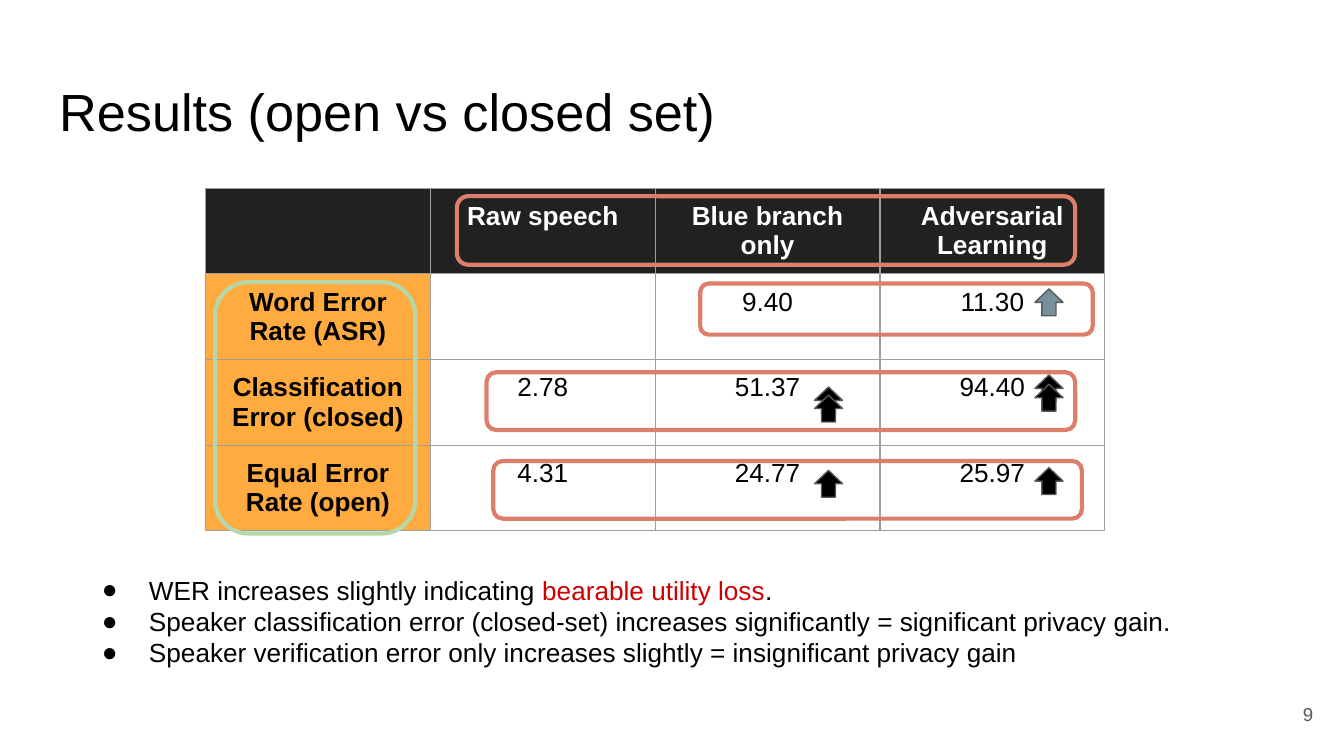
import pptx
import pptx.util
import pptx.dml.color
import pptx.enum.shapes
import pptx.enum.text
import pptx.oxml
import pptx.oxml.ns
from lxml import etree

Inches = pptx.util.Inches
Pt = pptx.util.Pt
SHAPE = pptx.enum.shapes.MSO_SHAPE
ALIGN = pptx.enum.text.PP_ALIGN
ANCHOR = pptx.enum.text.MSO_ANCHOR

BLACK, WHITE, GREY = "000000", "FFFFFF", "595959"
HEADER, ORANGE, BORDER = "212121", "FFAB40", "9E9E9E"
RED, CORAL, GREEN, SLATE = "CC0000", "DD7E6B", "B6D7A8", "78909C"

ROWS = [
    ["", "Raw speech", "Blue branch only", "Adversarial Learning"],
    ["Word Error Rate (ASR)", "", "9.40", "11.30"],
    ["Classification Error (closed)", "2.78", "51.37", "94.40"],
    ["Equal Error Rate (open)", "4.31", "24.77", "25.97"],
]
BULLETS = [
    [("WER increases slightly indicating ", BLACK),
     ("bearable utility loss", RED), (".", BLACK)],
    [("Speaker classification error (closed-set) increases significantly"
      " = significant privacy gain.", BLACK)],
    [("Speaker verification error only increases slightly"
      " = insignificant privacy gain", BLACK)],
]
ARROWS = [
    (7.7, 2.15, SLATE), (6.06, 2.88, BLACK), (7.7, 2.79, BLACK),
    (7.7, 3.48, BLACK), (6.06, 3.5, BLACK), (6.06, 2.94, BLACK),
    (7.7, 2.86, BLACK),
]
FRAMES = [
    (3.4, 1.46, 4.6, 0.51, CORAL), (5.21, 2.11, 2.92, 0.38, CORAL),
    (3.62, 2.77, 4.38, 0.43, CORAL), (3.67, 3.43, 4.38, 0.43, CORAL),
    (1.6, 2.1, 1.49, 1.87, GREEN),
]


def rgb(color):
    return pptx.dml.color.RGBColor.from_string(color)


def add_text(p, text, size=14, color=BLACK, bold=False, align=ALIGN.LEFT):
    p.alignment = align
    r = p.add_run()
    r.text = text
    r.font.name = "Arial"
    r.font.size = Pt(size)
    r.font.bold = bold
    r.font.color.rgb = rgb(color)


def set_frame(tf, anchor=ANCHOR.TOP):
    tf.word_wrap = True
    tf.auto_size = pptx.enum.text.MSO_AUTO_SIZE.NONE
    tf.vertical_anchor = anchor
    tf.margin_left = tf.margin_right = Inches(0.1)
    tf.margin_top = tf.margin_bottom = Inches(0.1)


def add_title(s, text):
    sp = s.shapes.title
    sp.left, sp.top = Inches(0.34), Inches(0.49)
    sp.width, sp.height = Inches(9.32), Inches(0.63)
    set_frame(sp.text_frame)
    add_text(sp.text_frame.paragraphs[0], text, size=28)


def add_box(s, x, y, w, h, **frame):
    sp = s.shapes.add_textbox(Inches(x), Inches(y), Inches(w), Inches(h))
    set_frame(sp.text_frame, **frame)
    return sp.text_frame


def set_borders(cell):
    pr = cell._tc.get_or_add_tcPr()
    for i, side in enumerate(("lnL", "lnR", "lnT", "lnB")):
        ln = pptx.oxml.parse_xml(
            f'<a:{side} {pptx.oxml.ns.nsdecls("a")} w="{Pt(0.75)}">'
            f'<a:solidFill><a:srgbClr val="{BORDER}"/></a:solidFill></a:{side}>')
        pr.insert(i, ln)


def add_table(s):
    table = s.shapes.add_table(4, 4, Inches(1.53), Inches(1.4),
                               Inches(6.69), Inches(2.54)).table
    for col in table.columns:
        col.width = Inches(6.69) // 4
    for i, row in enumerate(ROWS):
        table.rows[i].height = Inches(2.54) // 4
        for j, text in enumerate(row):
            cell = table.cell(i, j)
            cell.margin_left = cell.margin_right = Inches(0.1)
            cell.margin_top = cell.margin_bottom = Inches(0.1)
            fill = HEADER if i == 0 else ORANGE if j == 0 else None
            if fill:
                cell.fill.solid()
                cell.fill.fore_color.rgb = rgb(fill)
            else:
                cell.fill.background()
            set_borders(cell)
            if text:
                add_text(cell.text_frame.paragraphs[0], text,
                         color=BLACK if i else WHITE,
                         bold=fill is not None, align=ALIGN.CENTER)


def add_shape(s, kind, x, y, w, h, line, width, fill=None):
    sp = s.shapes.add_shape(kind, Inches(x), Inches(y), Inches(w), Inches(h))
    sp.shadow.inherit = False
    sp.line.color.rgb = rgb(line)
    sp.line.width = Pt(width)
    if fill:
        sp.fill.solid()
        sp.fill.fore_color.rgb = rgb(fill)
    else:
        sp.fill.background()


def set_bullet(p):
    pr = p._p.get_or_add_pPr()
    pr.set("marL", str(Inches(0.5)))
    pr.set("indent", str(Inches(-0.35)))
    qn = pptx.oxml.ns.qn
    color = etree.SubElement(pr, qn("a:buClr"))
    etree.SubElement(color, qn("a:srgbClr"), val=BLACK)
    etree.SubElement(pr, qn("a:buFont"), typeface="Arial")
    etree.SubElement(pr, qn("a:buChar"), char="●")


def add_bullets(s):
    tf = add_box(s, 0.51, 4.17, 8.89, 1.38)
    for i, runs in enumerate(BULLETS):
        p = tf.add_paragraph() if i else tf.paragraphs[0]
        set_bullet(p)
        for text, color in runs:
            add_text(p, text, color=color)


def main():
    prs = pptx.Presentation()
    prs.slide_width = Inches(10)
    prs.slide_height = prs.slide_width * 9 // 16
    s = prs.slides.add_slide(prs.slide_layouts[5])
    add_title(s, "Results (open vs closed set)")
    add_table(s)
    for x, y, fill in ARROWS:
        add_shape(s, SHAPE.UP_ARROW, x, y, 0.21, 0.2, GREY, 0.75, fill)
    add_bullets(s)
    tf = add_box(s, 9.27, 5.1, 0.6, 0.43, anchor=ANCHOR.MIDDLE)
    add_text(tf.paragraphs[0], "9", size=10, color=GREY, align=ALIGN.RIGHT)
    for x, y, w, h, line in FRAMES:
        add_shape(s, SHAPE.ROUNDED_RECTANGLE, x, y, w, h, line, 2.25)
    prs.save("out.pptx")


if __name__ == "__main__":
    main()
